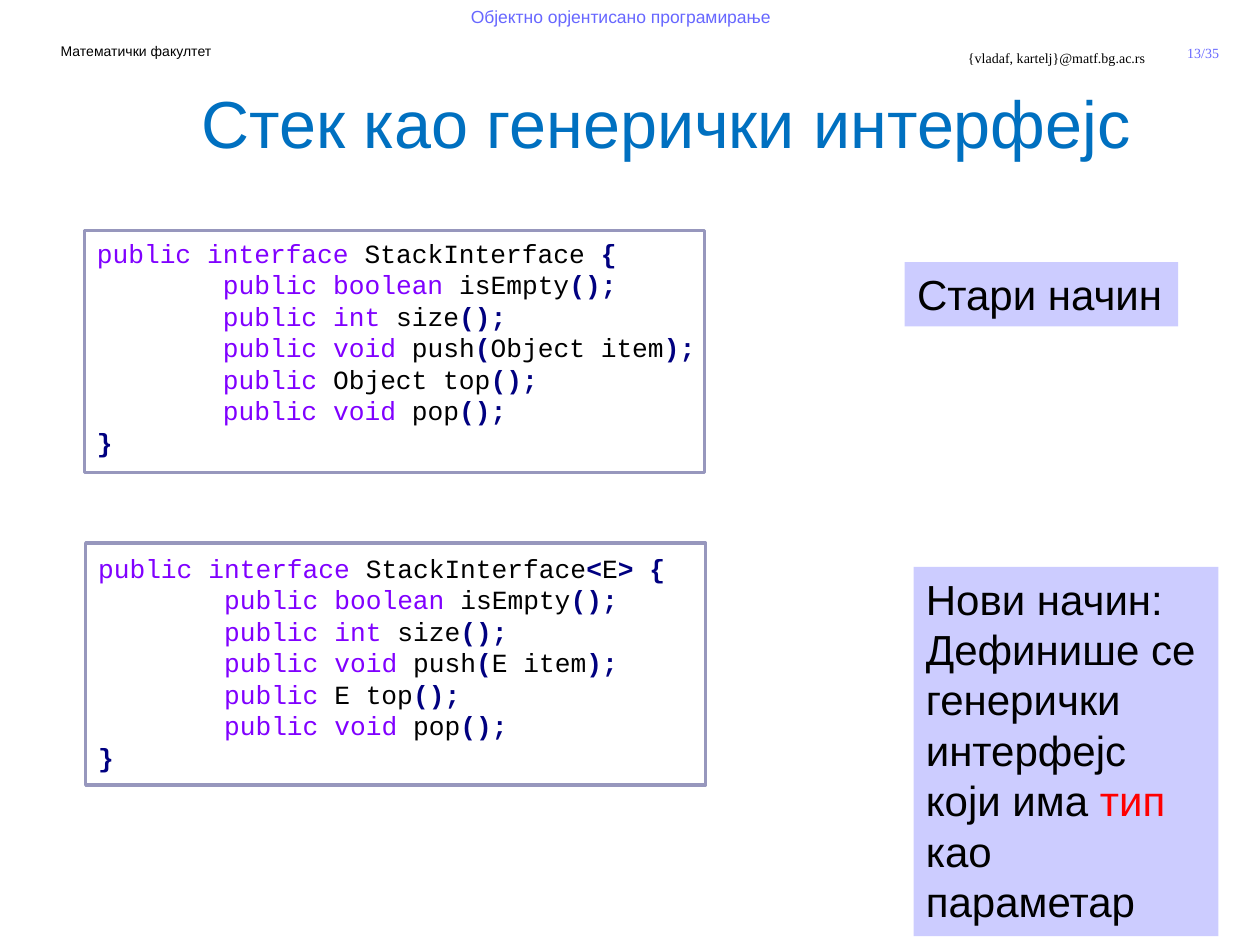
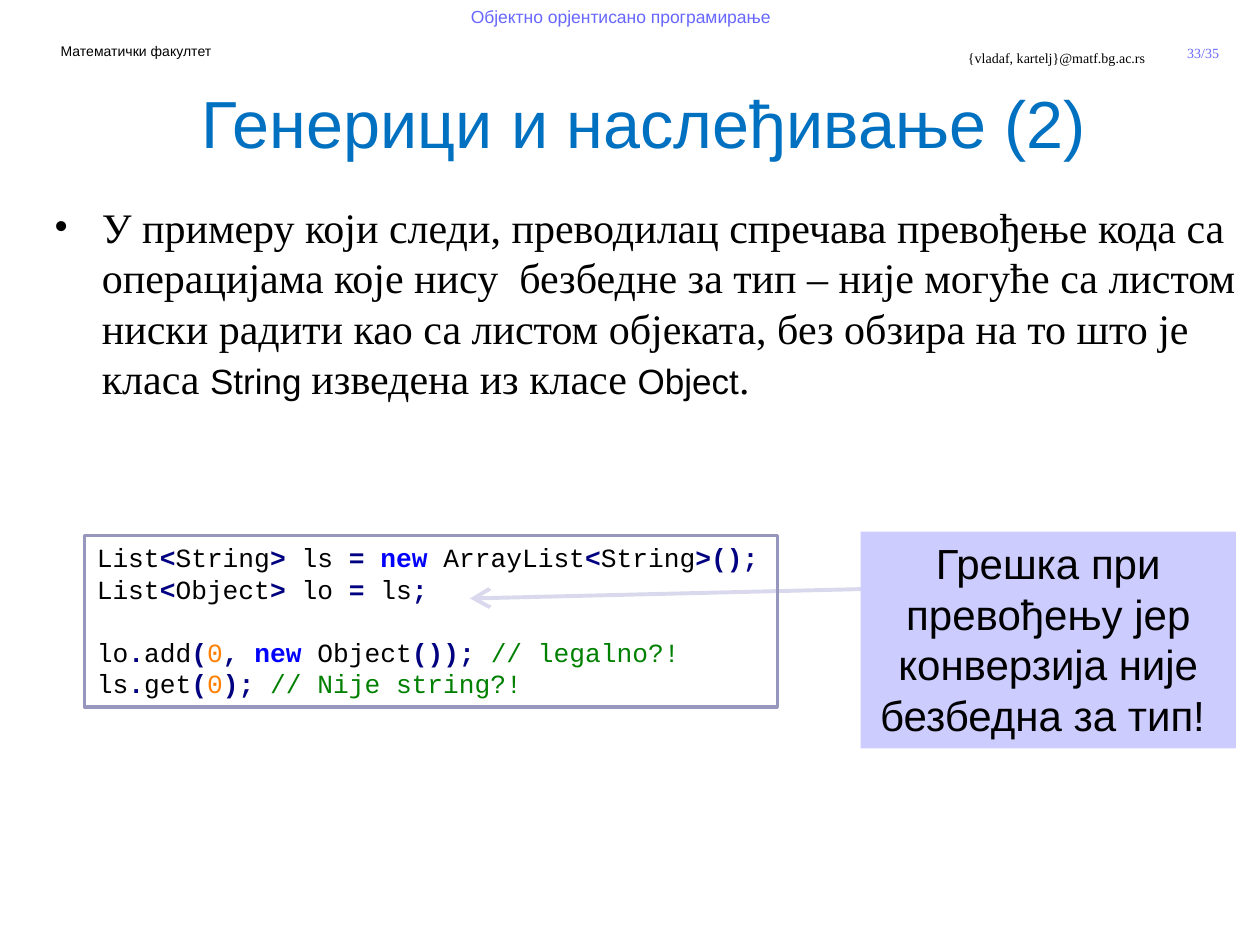
from dataclasses import dataclass
from itertools import groupby

from lxml import etree
from pptx import Presentation
from pptx.dml.color import RGBColor
from pptx.enum.shapes import MSO_CONNECTOR, MSO_SHAPE
from pptx.enum.text import MSO_ANCHOR, PP_ALIGN
from pptx.oxml.ns import qn
from pptx.util import Inches, Pt

RECTANGLE = MSO_SHAPE.RECTANGLE
STRAIGHT = MSO_CONNECTOR.STRAIGHT
TOP, MIDDLE = MSO_ANCHOR.TOP, MSO_ANCHOR.MIDDLE
LEFT, CENTER, RIGHT = PP_ALIGN.LEFT, PP_ALIGN.CENTER, PP_ALIGN.RIGHT


@dataclass(frozen=True)
class Theme:
    sans: str = "Arial"
    serif: str = "Times New Roman"
    mono: str = "Courier New"
    ink: str = "000000"
    title: str = "0070C0"
    header: str = "6767FF"
    note_fill: str = "CCCCFF"
    frame: str = "9797BD"
    arrow: str = "D9D8EC"
    accent: str = "FF0000"
    keyword: str = "8000FF"
    operator: str = "000080"
    creation: str = "0000FF"
    number: str = "FF8000"
    comment: str = "008000"
    title_size: int = 38
    body_size: int = 24
    class_size: int = 20
    code_size: int = 15
    course_size: int = 10
    header_size: int = 8
    line_pitch: float = 1.2


THEME = Theme()
KEYWORDS = {"public", "interface", "boolean", "int", "void"}

OLD_STACK = """public interface StackInterface {
        public boolean isEmpty();
        public int size();
        public void push(Object item);
        public Object top();
        public void pop();
}"""

GENERIC_STACK = """public interface StackInterface<E> {
        public boolean isEmpty();
        public int size();
        public void push(E item);
        public E top();
        public void pop();
}"""

LIST_EXAMPLE = """List<String> ls = new ArrayList<String>();
List<Object> lo = ls;

lo.add(0, new Object()); // legalno?!
ls.get(0); // Nije string?!"""


# Text
def write(frame, paragraphs, *, size=THEME.body_size, font=THEME.sans, color=THEME.ink,
          align=LEFT, anchor=TOP, wrap=True, insets=(0.1, 0.05, 0.1, 0.05),
          hanging=0, gaps=()):
    """Each paragraph is a string or a list of (text, format) runs."""
    frame.word_wrap = wrap
    frame.vertical_anchor = anchor
    (frame.margin_left, frame.margin_top,
     frame.margin_right, frame.margin_bottom) = map(Inches, insets)
    for index, content in enumerate(paragraphs):
        paragraph = frame.paragraphs[0] if index == 0 else frame.add_paragraph()
        paragraph.alignment = align
        paragraph.line_spacing = Pt(size * THEME.line_pitch)
        if index in gaps:
            paragraph.space_before = Pt(size * THEME.line_pitch)
        if hanging:
            add_bullet(paragraph, hanging)
        for text, style in [(content, {})] if isinstance(content, str) else content:
            run = paragraph.add_run()
            run.text = text
            run.font.size = Pt(style.get("size", size))
            run.font.name = style.get("font", font)
            run.font.bold = style.get("bold", False)
            run.font.color.rgb = RGBColor.from_string(style.get("color", color))


def add_bullet(paragraph, hanging):
    properties = paragraph._p.get_or_add_pPr()
    properties.set("marL", str(Inches(hanging)))
    properties.set("indent", str(-Inches(hanging)))
    etree.SubElement(properties, qn("a:buFont")).set("typeface", THEME.serif)
    etree.SubElement(properties, qn("a:buChar")).set("char", "•")


def add_text(slide, box, *paragraphs, **style):
    text_box = slide.shapes.add_textbox(*map(Inches, box))
    write(text_box.text_frame, paragraphs, **style)


# Shapes
def add_rectangle(slide, box, fill=None, line=None):
    rectangle = slide.shapes.add_shape(RECTANGLE, *map(Inches, box))
    rectangle.shadow.inherit = False
    if fill:
        rectangle.fill.solid()
        rectangle.fill.fore_color.rgb = RGBColor.from_string(fill)
    else:
        rectangle.fill.background()
    if line:
        rectangle.line.color.rgb = RGBColor.from_string(line)
        rectangle.line.width = Pt(2)
    else:
        rectangle.line.fill.background()
    return rectangle


def add_note(slide, box, *paragraphs, **style):
    note = add_rectangle(slide, box, fill=THEME.note_fill)
    write(note.text_frame, paragraphs, **style)


def add_arrow(slide, tip, tail):
    arrow = slide.shapes.add_connector(STRAIGHT, *map(Inches, (*tip, *tail)))
    arrow.line.color.rgb = RGBColor.from_string(THEME.arrow)
    arrow.line.width = Pt(2.25)
    head = etree.SubElement(arrow.line._get_or_add_ln(), qn("a:headEnd"))
    for name, value in (("type", "arrow"), ("w", "lg"), ("len", "lg")):
        head.set(name, value)
    etree.SubElement(arrow._element.spPr, qn("a:effectLst"))


# Code listings
def token_style(token):
    if token == "new":
        return {"color": THEME.creation, "bold": True}
    if token in KEYWORDS:
        return {"color": THEME.keyword}
    if token.isdigit():
        return {"color": THEME.number}
    if token.isalnum() or token.isspace():
        return {}
    return {"color": THEME.operator, "bold": True}


def char_kind(char):
    return "word" if char.isalnum() else "space" if char.isspace() else "symbol"


def highlight(line):
    code, slashes, remark = line.partition("//")
    tokens = ("".join(chars) for _, chars in groupby(code, char_kind))
    runs = [(token, token_style(token)) for token in tokens]
    if slashes:
        runs.append((slashes + remark, {"color": THEME.comment}))
    return runs


def add_code(slide, box, source, top_inset=0.05):
    lines, gaps = [], set()
    for line in source.split("\n"):
        if line:
            lines.append(highlight(line))
        else:
            gaps.add(len(lines))
    frame = add_rectangle(slide, box, line=THEME.frame)
    write(frame.text_frame, lines, size=THEME.code_size, font=THEME.mono,
          insets=(0.1, top_inset, 0, 0), gaps=gaps)


# Header and title shared by the slides
def add_content_slide(deck, title, number):
    slide = deck.slides.add_slide(deck.slide_layouts[6])
    add_text(slide, (9.3, 0.3, 0.5, 0.24), f"{number}/35", size=THEME.header_size,
             font=THEME.serif, color=THEME.header, align=CENTER, anchor=MIDDLE, wrap=False)
    add_text(slide, (6.67, 0.34, 2.52, 0.5), "{vladaf, kartelj}@matf.bg.ac.rs",
             size=THEME.header_size, font=THEME.serif, align=RIGHT)
    add_text(slide, (0.37, 0.29, 1.42, 0.24), "Математички факултет",
             size=THEME.header_size, align=CENTER, wrap=False)
    add_text(slide, (3.34, 0, 3.17, 0.5), "Објектно орјентисано програмирање",
             size=THEME.course_size, color=THEME.header, align=CENTER)
    add_text(slide, (1.5, 0.6, 8.5, 0.95), title, size=THEME.title_size, color=THEME.title)
    return slide


def build_stack_slide(deck):
    slide = add_content_slide(deck, "Стек као генерички интерфејс", 13)
    add_note(slide, (7.18, 2.08, 2.17, 0.51), "Стари начин")
    add_note(slide, (7.25, 4.5, 2.42, 2.93), "Нови начин:",
             [("Дефинише се генерички интерфејс који има ", {}),
              ("тип", {"color": THEME.accent}),
              (" као параметар", {})])
    add_code(slide, (0.67, 1.83, 4.92, 1.92), OLD_STACK)
    add_code(slide, (0.68, 4.31, 4.92, 1.92), GENERIC_STACK, top_inset=0.07)


def build_inheritance_slide(deck):
    slide = add_content_slide(deck, "Генерици и наслеђивање (2)", 33)
    class_name = {"font": THEME.sans, "size": THEME.class_size}
    add_text(slide, (0.33, 1.55, 9.58, 1.72),
             [("У примеру који следи, преводилац спречава превођење кода са операцијама "
               "које нису  безбедне за тип – није могуће са листом ниски радити као са "
               "листом објеката, без обзира на то што је класа ", {}),
              ("String ", class_name),
              ("изведена из класе ", {}),
              ("Object", class_name),
              (".", {})],
             font=THEME.serif, hanging=0.38)
    add_arrow(slide, tip=(3.73, 4.75), tail=(7.48, 4.66))
    add_note(slide, (6.83, 4.22, 2.98, 1.72),
             "Грешка при превођењу јер конверзија није безбедна за тип! ", align=CENTER)
    add_code(slide, (0.67, 4.25, 5.5, 1.36), LIST_EXAMPLE)


def main():
    deck = Presentation()
    deck.slide_width, deck.slide_height = Inches(10), Inches(7.5)
    build_stack_slide(deck)
    build_inheritance_slide(deck)
    deck.save("out.pptx")


if __name__ == "__main__":
    main()
